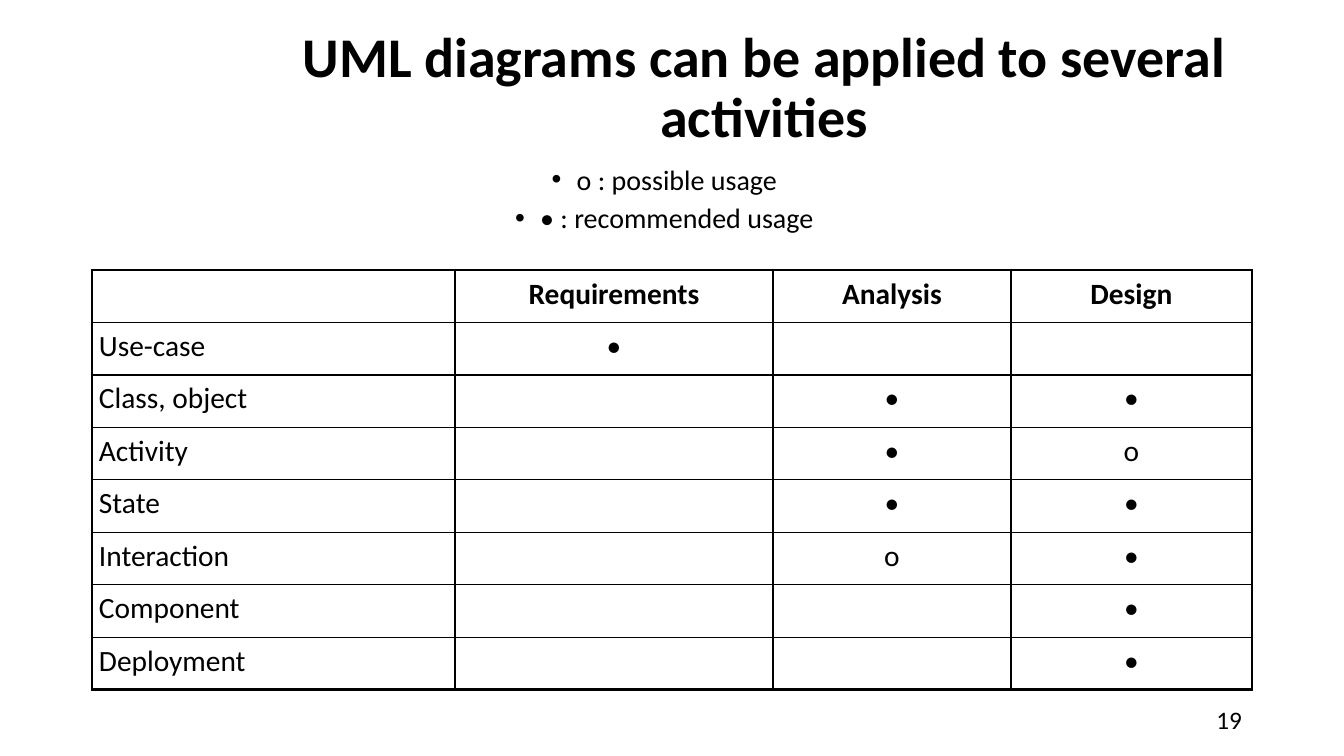
from lxml import etree
from pptx import Presentation
from pptx import util as u
from pptx.dml.color import RGBColor
from pptx.enum import text
from pptx.oxml import ns

TITLE = "UML diagrams can be applied to several activities"
LEGEND = ["ο : possible usage", "• : recommended usage"]
PAGE = "19"
USAGE = [
    ("", "Requirements", "Analysis", "Design"),
    ("Use-case", "•", "", ""),
    ("Class, object", "", "•", "•"),
    ("Activity", "", "•", "ο"),
    ("State", "", "•", "•"),
    ("Interaction", "", "ο", "•"),
    ("Component", "", "", "•"),
    ("Deployment", "", "", "•"),
]
COLORS = {"ink": "000000", "paper": "FFFFFF"}
FONT = "Calibri"
SLIDE = (1344, 756)
TITLE_BOX = (203, 28, 1122, 123)
LEGEND_BOX = (111, 161, 1122, 85)
PAGE_BOX = (950, 701, 302, 40)
TABLE_AT = (92, 270)
TABLE_HEIGHT = 420
COLUMNS = (363, 318, 238, 241)
INSETS = {"margin_left": 7, "margin_right": 7, "margin_top": 6, "margin_bottom": 6}
BULLET_INDENT = 25
THIN, THICK = 1, 2.25
LEFT, CENTER, RIGHT = (text.PP_ALIGN.LEFT, text.PP_ALIGN.CENTER, text.PP_ALIGN.RIGHT)


def px(length):
    return u.Emu(round(length * 914400 / 100.8))


def write(paragraph, words, size, bold=False, **layout):
    for name, value in layout.items():
        setattr(paragraph, name, value)
    run = paragraph.add_run()
    run.text = words
    for name, value in {"name": FONT, "size": u.Pt(size), "bold": bold}.items():
        setattr(run.font, name, value)
    run.font.color.rgb = RGBColor.from_string(COLORS["ink"])


def add_lines(slide, box, lines, size, anchor, bullet=False, bold=False, **layout):
    frame = slide.shapes.add_textbox(*map(px, box)).text_frame
    frame.word_wrap = True
    frame.vertical_anchor = anchor
    for index, line in enumerate(lines):
        paragraph = frame.add_paragraph() if index else frame.paragraphs[0]
        if bullet:
            props = paragraph._p.get_or_add_pPr()
            props.set("marL", "0")
            props.set("indent", str(-px(BULLET_INDENT)))
            etree.SubElement(props, ns.qn("a:buFont")).set("typeface", "Arial")
            etree.SubElement(props, ns.qn("a:buChar")).set("char", "•")
        write(paragraph, line, size, bold, line_spacing=0.9, **layout)


def add_borders(cell, widths):
    props = cell._tc.get_or_add_tcPr()
    for index, (side, width) in enumerate(widths.items()):
        line = etree.Element(ns.qn(f"a:ln{side}"), w=str(u.Pt(width)))
        fill = etree.SubElement(line, ns.qn("a:solidFill"))
        etree.SubElement(fill, ns.qn("a:srgbClr")).set("val", COLORS["ink"])
        props.insert(index, line)


def add_usage_table(slide):
    last_row, last_column = len(USAGE) - 1, len(COLUMNS) - 1
    table = slide.shapes.add_table(
        len(USAGE), len(COLUMNS), *map(px, (*TABLE_AT, sum(COLUMNS), TABLE_HEIGHT))
    ).table
    table.first_row = table.horz_banding = False
    for column, width in zip(table.columns, COLUMNS):
        column.width = px(width)
    for row in table.rows:
        row.height = px(TABLE_HEIGHT / len(USAGE))
    for r, entries in enumerate(USAGE):
        for c, entry in enumerate(entries):
            cell = table.cell(r, c)
            cell.fill.background()
            for name, value in INSETS.items():
                setattr(cell, name, px(value))
            if entry:
                write(cell.text_frame.paragraphs[0], entry, 21, r == 0,
                      alignment=CENTER if c else LEFT)
            outer = {"L": c == 0, "R": c == last_column, "T": r == 0, "B": r == last_row}
            add_borders(cell, {side: THICK if edge else THIN for side, edge in outer.items()})


def main():
    deck = Presentation()
    deck.slide_width, deck.slide_height = map(px, SLIDE)
    slide = deck.slides.add_slide(deck.slide_layouts[6])
    slide.background.fill.solid()
    slide.background.fill.fore_color.rgb = RGBColor.from_string(COLORS["paper"])
    middle, top = text.MSO_ANCHOR.MIDDLE, text.MSO_ANCHOR.TOP
    add_lines(slide, TITLE_BOX, [TITLE], 40, middle, bold=True, alignment=CENTER)
    add_lines(slide, PAGE_BOX, [PAGE], 18, middle, alignment=RIGHT)
    add_lines(slide, LEGEND_BOX, LEGEND, 20, top, bullet=True,
              alignment=CENTER, space_after=u.Pt(6))
    add_usage_table(slide)
    deck.save("out.pptx")


if __name__ == "__main__":
    main()
